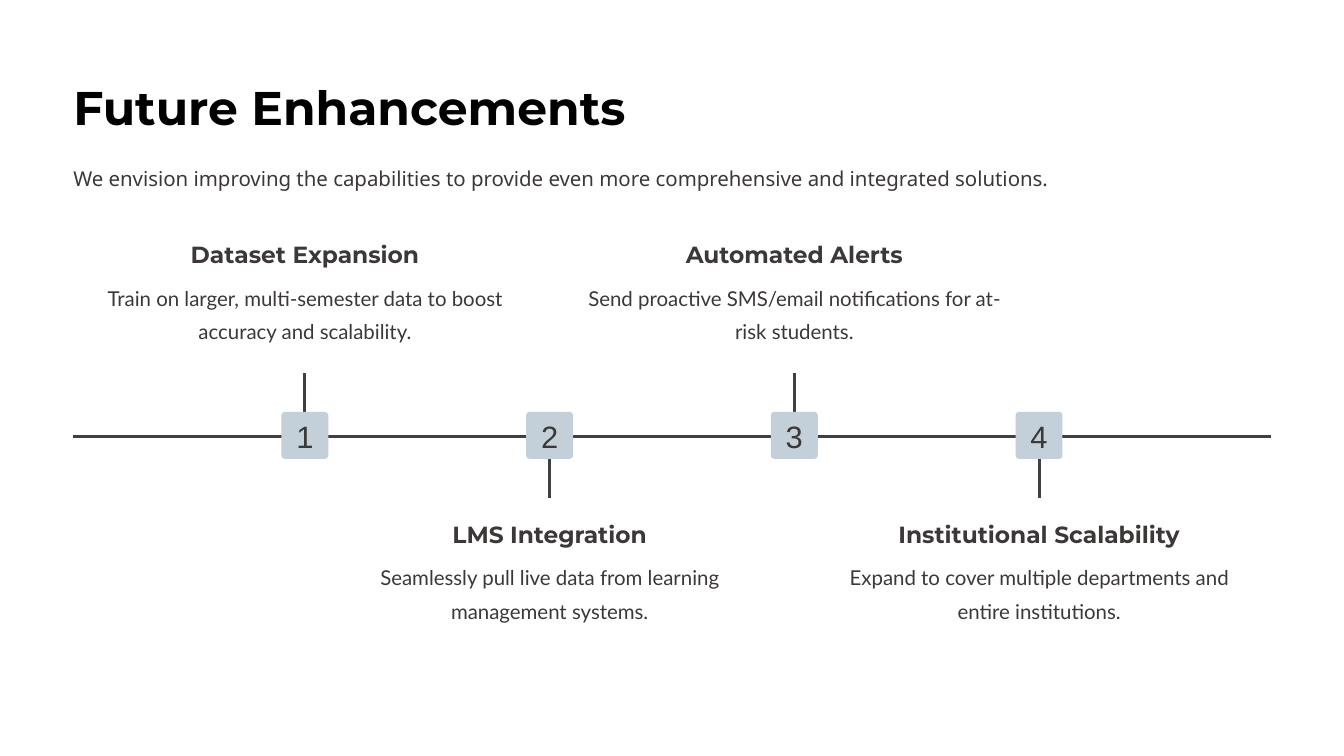
from dataclasses import dataclass

from lxml.etree import SubElement
from pptx import Presentation
from pptx.dml.color import RGBColor
from pptx.enum.shapes import MSO_CONNECTOR, MSO_SHAPE
from pptx.enum.text import MSO_ANCHOR, MSO_AUTO_SIZE, PP_ALIGN
from pptx.oxml.ns import qn
from pptx.util import Cm, Pt

# Content
TITLE = "Future Enhancements"
INTRO = ("We envision improving the capabilities to provide even more "
         "comprehensive and integrated solutions.")
MILESTONES = [
    ("Dataset Expansion",
     "Train on larger, multi-semester data to boost accuracy and scalability."),
    ("LMS Integration",
     "Seamlessly pull live data from learning management systems."),
    ("Automated Alerts",
     "Send proactive SMS/email notifications for at-risk students."),
    ("Institutional Scalability",
     "Expand to cover multiple departments and entire institutions."),
]


# Theme
@dataclass(frozen=True)
class TextStyle:
    font: str
    size: float
    color: str
    bold: bool = False
    leading: float | None = None
    align: PP_ALIGN = PP_ALIGN.CENTER


@dataclass(frozen=True)
class Theme:
    background: str = "FFFFFF"
    line: str = "3F3F44"
    badge: str = "C3D0D9"
    line_width: float = 3.2
    title: TextStyle = TextStyle("Montserrat", 50.6, "000000", True, 69.4, PP_ALIGN.LEFT)
    intro: TextStyle = TextStyle("Noto Sans", 21.85, "3D3838", False, 35.6, PP_ALIGN.LEFT)
    number: TextStyle = TextStyle("Arial", 33.1, "3D3838")
    heading: TextStyle = TextStyle("Montserrat", 25, "3D3838", True, 34.4)
    body: TextStyle = TextStyle("Lato", 21.85, "3D3838", False, 35.6)


THEME = Theme()

# Layout in centimetres
SLIDE_W, SLIDE_H = 50.8, 28.58
MARGIN = 2.77
CONTENT_W = SLIDE_W - 2 * MARGIN
AXIS_Y = 16.51
BADGE_Y = 16.46
STEP = 9.25
BADGE = 1.77
STEM = 2.36
HEADING_W, HEADING_H = 11.66, 1.35
BODY_W, BODY_H = 15.95, 2.79
BODY_OFFSET = 1.54
UPPER_Y, LOWER_Y = 8.94, 19.51


def write(shape, text, style):
    frame = shape.text_frame
    frame.word_wrap = True
    frame.margin_left = frame.margin_right = frame.margin_top = frame.margin_bottom = 0
    frame.text = text
    paragraph = frame.paragraphs[0]
    paragraph.alignment = style.align
    if style.leading:
        paragraph.line_spacing = Pt(style.leading)
    paragraph.font.name = style.font
    paragraph.font.size = Pt(style.size)
    paragraph.font.bold = style.bold
    paragraph.font.color.rgb = RGBColor.from_string(style.color)
    return frame


def add_text(slide, text, style, left, top, width, height):
    box = slide.shapes.add_textbox(Cm(left), Cm(top), Cm(width), Cm(height))
    write(box, text, style).auto_size = MSO_AUTO_SIZE.SHAPE_TO_FIT_TEXT


def add_line(slide, x1, y1, x2, y2):
    line = slide.shapes.add_connector(
        MSO_CONNECTOR.STRAIGHT, Cm(x1), Cm(y1), Cm(x2), Cm(y2))
    line.line.color.rgb = RGBColor.from_string(THEME.line)
    line.line.width = Pt(THEME.line_width)
    SubElement(line._element.spPr, qn("a:effectLst"))


def add_badge(slide, number, center):
    badge = slide.shapes.add_shape(
        MSO_SHAPE.ROUNDED_RECTANGLE,
        Cm(center - BADGE / 2), Cm(BADGE_Y - BADGE / 2), Cm(BADGE), Cm(BADGE))
    badge.adjustments[0] = 0.07
    badge.shadow.inherit = False
    badge.fill.solid()
    badge.fill.fore_color.rgb = RGBColor.from_string(THEME.badge)
    badge.line.fill.background()
    frame = write(badge, str(number), THEME.number)
    frame.vertical_anchor = MSO_ANCHOR.MIDDLE
    frame.margin_top = Cm(0.06)


def add_milestone(slide, index, heading, body):
    center = SLIDE_W / 2 + (index - (len(MILESTONES) - 1) / 2) * STEP
    above = index % 2 == 0

    # Stem from the badge centre towards its text, under the badge
    stem_end = BADGE_Y - STEM if above else BADGE_Y + STEM
    add_line(slide, center, BADGE_Y, center, stem_end)
    add_badge(slide, index + 1, center)

    # Heading and description
    top = UPPER_Y if above else LOWER_Y
    add_text(slide, heading, THEME.heading,
             center - HEADING_W / 2, top, HEADING_W, HEADING_H)
    add_text(slide, body, THEME.body,
             center - BODY_W / 2, top + BODY_OFFSET, BODY_W, BODY_H)


def main():
    deck = Presentation()
    deck.slide_width, deck.slide_height = Cm(SLIDE_W), Cm(SLIDE_H)
    slide = deck.slides.add_slide(deck.slide_layouts[5])
    slide.background.fill.solid()
    slide.background.fill.fore_color.rgb = RGBColor.from_string(THEME.background)

    # Title and introduction
    title = slide.shapes.title
    title.left, title.top = Cm(MARGIN), Cm(2.64)
    title.width, title.height = Cm(21.72), Cm(2.67)
    frame = write(title, TITLE, THEME.title)
    frame.vertical_anchor = MSO_ANCHOR.TOP
    frame.auto_size = MSO_AUTO_SIZE.SHAPE_TO_FIT_TEXT
    add_text(slide, INTRO, THEME.intro, MARGIN, 5.94, CONTENT_W, 1.5)

    # Timeline
    add_line(slide, MARGIN, AXIS_Y, SLIDE_W - MARGIN, AXIS_Y)
    for index, (heading, body) in enumerate(MILESTONES):
        add_milestone(slide, index, heading, body)

    deck.save("out.pptx")


if __name__ == "__main__":
    main()
